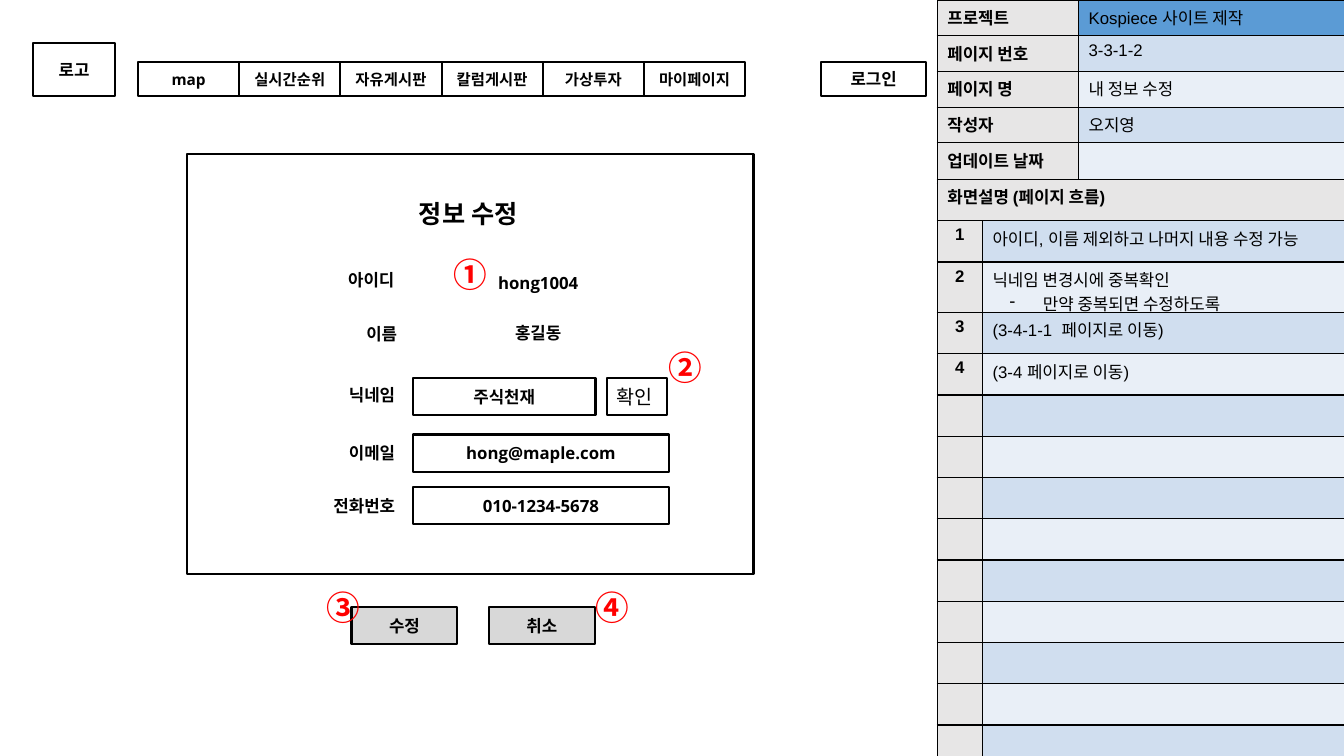
from dataclasses import dataclass
from typing import Optional

from lxml import etree
from pptx import Presentation
from pptx.dml.color import RGBColor
from pptx.enum.shapes import MSO_SHAPE
from pptx.enum.text import MSO_ANCHOR, PP_ALIGN
from pptx.oxml.ns import qn
from pptx.util import Cm, Pt

RECTANGLE = MSO_SHAPE.RECTANGLE
TOP, MIDDLE = MSO_ANCHOR.TOP, MSO_ANCHOR.MIDDLE
LEFT, CENTER, RIGHT = PP_ALIGN.LEFT, PP_ALIGN.CENTER, PP_ALIGN.RIGHT


@dataclass(frozen=True)
class Theme:
    black: str = "000000"
    red: str = "FF0000"
    button: str = "D8D8D8"
    label: str = "E7E6E6"
    accent: str = "5B9BD5"
    bands: tuple = ("D0DEEF", "E9EFF7")
    wireframe_font: str = "Open Sans"
    table_font: str = "Arial"
    korean_font: str = "Noto Sans CJK KR"
    menu: int = 11
    body: int = 12
    check: int = 14
    title: int = 18
    marker: int = 24
    outline: float = 1.5
    border: float = 1


THEME = Theme()


@dataclass(frozen=True)
class Style:
    size: int = THEME.body
    font: str = THEME.wireframe_font
    color: str = THEME.black
    bold: bool = True
    align: PP_ALIGN = CENTER


@dataclass(frozen=True)
class Block:
    """A piece of the wireframe, measured in centimetres."""
    text: str
    left: float
    top: float
    width: float
    height: float = 0.94
    style: Style = Style()
    boxed: bool = False
    fill: Optional[str] = None
    anchor: MSO_ANCHOR = MIDDLE
    margin: float = 0.25


LABEL = Style(align=RIGHT)
TITLE = Style(size=THEME.title)
MENU = Style(size=THEME.menu)
CHECK = Style(size=THEME.check, font=THEME.korean_font, bold=False, align=LEFT)
MARKER = Style(size=THEME.marker, font=THEME.korean_font, color=THEME.red, align=LEFT)
CELL_LABEL = Style(font=THEME.table_font, align=LEFT)
CELL_NUMBER = Style(font=THEME.table_font)
CELL_TEXT = Style(font=THEME.table_font, bold=False, align=LEFT)

MENU_ITEMS = ["map", "실시간순위", "자유게시판", "칼럼게시판", "가상투자", "마이페이지"]
MENU_LEFT, MENU_STEP = 3.48, 2.55

BLOCKS = [
    # Header
    Block("로고", 0.84, 1.09, 2.06, 1.32, boxed=True),
    Block("로그인", 20.7, 1.57, 2.64, 0.84, boxed=True),
    *[Block(item, MENU_LEFT + MENU_STEP * index, 1.57, MENU_STEP, 0.84, MENU, True)
      for index, item in enumerate(MENU_ITEMS)],
    # Form
    Block("", 4.72, 3.89, 14.27, 10.57, boxed=True),
    Block("정보 수정", 9.5, 4.9, 4.6, style=TITLE),
    Block("아이디", 8.08, 6.58, 2.11, style=LABEL),
    Block("이름", 7.62, 7.95, 2.64, style=LABEL),
    Block("닉네임", 7.57, 9.47, 2.64, style=LABEL),
    Block("이메일", 7.57, 10.95, 2.64, style=LABEL),
    Block("전화번호", 7.57, 12.27, 2.64, style=LABEL),
    Block("hong1004", 10.34, 6.65, 6.45),
    Block("홍길동", 10.34, 7.92, 6.45),
    Block("주식천재", 10.41, 9.53, 4.6, boxed=True),
    Block("확인", 15.29, 9.53, 1.52, style=CHECK, boxed=True),
    Block("hong@maple.com", 10.41, 10.95, 6.45, boxed=True),
    Block("010-1234-5678", 10.41, 12.27, 6.45, boxed=True),
    # Buttons
    Block("수정", 8.86, 15.29, 2.67, boxed=True, fill=THEME.button),
    Block("취소", 12.32, 15.29, 2.67, boxed=True, fill=THEME.button),
    # Numbered markers
    *[Block(number, left, top, 1.52, 1.27, MARKER, anchor=TOP, margin=0.13)
      for number, left, top in [("①", 11.18, 6.27), ("②", 16.59, 8.61),
                                ("③", 7.98, 14.66), ("④", 14.76, 14.66)]],
]

PROJECT_ROWS = [
    ("프로젝트", "Kospiece 사이트 제작"),
    ("페이지 번호", "3-3-1-2"),
    ("페이지 명", "내 정보 수정"),
    ("작성자", "오지영"),
    ("업데이트 날짜", ""),
]
NOTES_HEADING = "화면설명 (페이지 흐름)"
NOTES = [
    "아이디, 이름 제외하고 나머지 내용 수정 가능",
    "닉네임 변경시에 중복확인\n만약 중복되면 수정하도록",
    "(3-4-1-1  페이지로 이동)",
    "(3-4 페이지로 이동)",
]
NOTE_ROWS = 13


def write(paragraph, text: str, style: Style) -> None:
    paragraph.alignment = style.align
    run = paragraph.add_run()
    run.text = text
    formats = {"size": Pt(style.size), "bold": style.bold, "name": style.font}
    for name, value in formats.items():
        setattr(run.font, name, value)
    run.font.color.rgb = RGBColor.from_string(style.color)
    etree.SubElement(run._r.get_or_add_rPr(), qn("a:ea"), typeface=THEME.korean_font)


def add_block(slide, block: Block) -> None:
    area = [Cm(value) for value in (block.left, block.top, block.width, block.height)]
    if block.boxed:
        shape = slide.shapes.add_shape(RECTANGLE, *area)
        shape.shadow.inherit = False
        shape.line.color.rgb = RGBColor.from_string(THEME.black)
        shape.line.width = Pt(THEME.outline)
        if block.fill:
            shape.fill.solid()
            shape.fill.fore_color.rgb = RGBColor.from_string(block.fill)
        else:
            shape.fill.background()
    else:
        shape = slide.shapes.add_textbox(*area)
    if block.text:
        frame = shape.text_frame
        formats = {"word_wrap": True, "vertical_anchor": block.anchor,
                   "margin_left": Cm(0.25), "margin_right": Cm(0.25),
                   "margin_top": Cm(block.margin), "margin_bottom": Cm(block.margin)}
        for name, value in formats.items():
            setattr(frame, name, value)
        write(frame.paragraphs[0], block.text, block.style)


def fill_cell(cell, text: str, style: Style, color: str) -> None:
    frame = cell.text_frame
    for index, line in enumerate(text.split("\n")):
        paragraph = frame.add_paragraph() if index else frame.paragraphs[0]
        write(paragraph, line, style)
        if index:  # later lines are dashed sub-items
            properties = paragraph._p.get_or_add_pPr()
            properties.set("marL", str(Cm(1.27)))
            properties.set("indent", str(-Cm(0.84)))
            etree.SubElement(properties, qn("a:buChar"), char="-")
    # Borders come before the fill in the cell properties
    properties = cell._tc.get_or_add_tcPr()
    for side in ("a:lnL", "a:lnR", "a:lnT", "a:lnB"):
        line = etree.SubElement(properties, qn(side), w=str(Pt(THEME.border)))
        solid = etree.SubElement(line, qn("a:solidFill"))
        etree.SubElement(solid, qn("a:srgbClr"), val=THEME.black)
    cell.fill.solid()
    cell.fill.fore_color.rgb = RGBColor.from_string(color)


def add_grid(slide, top: float, widths: tuple, row_height: float, rows: int):
    table = slide.shapes.add_table(rows, len(widths), Cm(23.62), Cm(top),
                                   Cm(sum(widths)), Cm(row_height * rows)).table
    table.first_row = table.horz_banding = False
    for column, width in zip(table.columns, widths):
        column.width = Cm(width)
    return table


def main() -> None:
    presentation = Presentation()
    presentation.slide_width, presentation.slide_height = Cm(33.87), Cm(19.05)
    slide = presentation.slides.add_slide(presentation.slide_layouts[6])
    for block in BLOCKS:
        add_block(slide, block)

    # Project details
    project = add_grid(slide, 0, (3.56, 6.71), 0.9, len(PROJECT_ROWS))
    for row, (label, value) in enumerate(PROJECT_ROWS):
        color = THEME.bands[(row - 1) % 2] if row else THEME.accent
        fill_cell(project.cell(row, 0), label, CELL_LABEL, THEME.label)
        fill_cell(project.cell(row, 1), value, CELL_TEXT, color)

    # Screen notes
    notes = add_grid(slide, 4.52, (1.14, 9.12), 1.04, NOTE_ROWS + 1)
    fill_cell(notes.cell(0, 0), NOTES_HEADING, CELL_LABEL, THEME.label)
    notes.cell(0, 0).merge(notes.cell(0, 1))
    for row in range(1, NOTE_ROWS + 1):
        used = row <= len(NOTES)
        fill_cell(notes.cell(row, 0), str(row) if used else "", CELL_NUMBER, THEME.label)
        fill_cell(notes.cell(row, 1), NOTES[row - 1] if used else "", CELL_TEXT,
                  THEME.bands[(row - 1) % 2])
    presentation.save("out.pptx")


if __name__ == "__main__":
    main()
